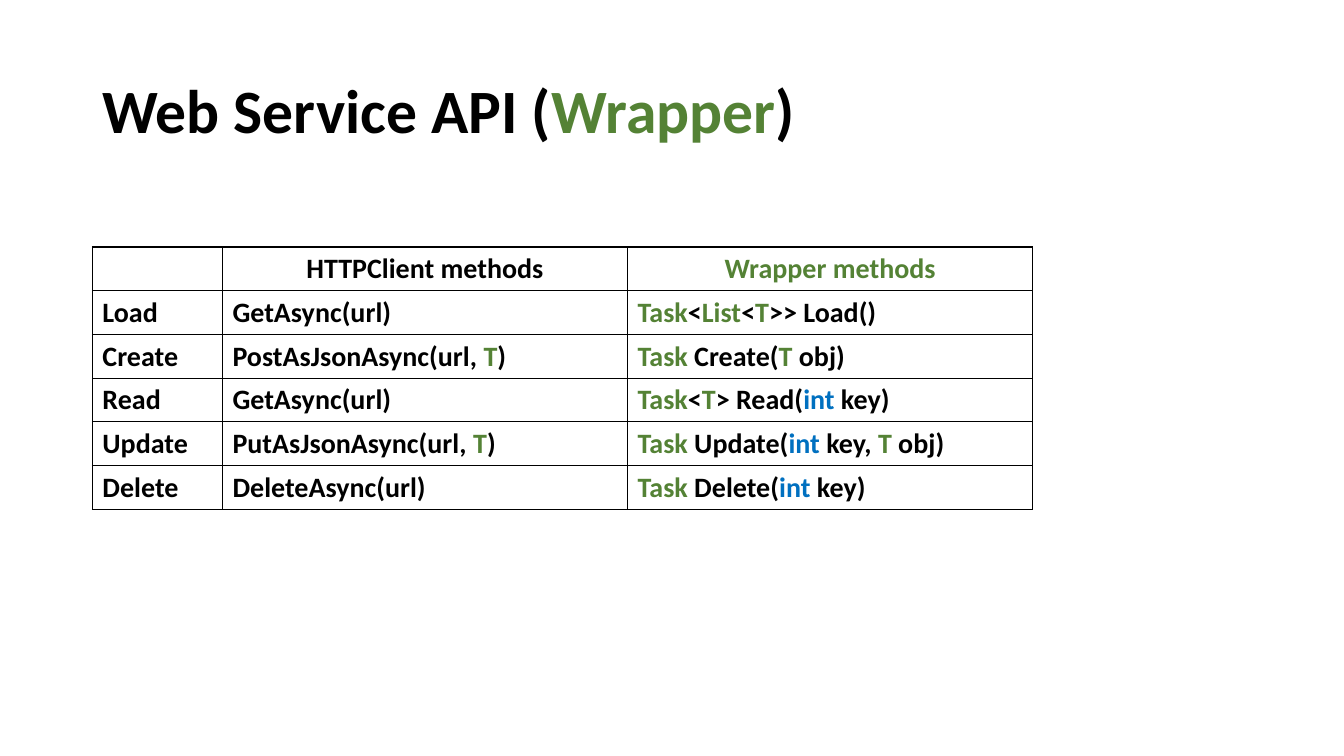
"""Build the Web Service API wrapper slide."""
from lxml import etree
from pptx import Presentation
from pptx.dml.color import RGBColor
from pptx.enum.text import MSO_ANCHOR, PP_ALIGN
from pptx.oxml.ns import qn
from pptx.util import Pt

LEFT, CENTER = PP_ALIGN.LEFT, PP_ALIGN.CENTER
MIDDLE = MSO_ANCHOR.MIDDLE

COLORS = {"text": "000000", "type": "548235", "keyword": "0070C0", "paper": "FFFFFF"}
FONT = "Calibri"

TASK, LIST, T = ("Task", "type"), ("List", "type"), ("T", "type")
INT = ("int", "keyword")
TITLE = ["Web Service API (", ("Wrapper", "type"), ")"]
METHODS = [
    [[], ["HTTPClient methods"], [("Wrapper methods", "type")]],
    [["Load"], ["GetAsync(url)"], [TASK, "<", LIST, "<", T, ">> Load()"]],
    [["Create"], ["PostAsJsonAsync(url, ", T, ")"], [TASK, " Create(", T, " obj)"]],
    [["Read"], ["GetAsync(url)"], [TASK, "<", T, "> Read(", INT, " key)"]],
    [["Update"], ["PutAsJsonAsync(url, ", T, ")"],
     [TASK, " Update(", INT, " key, ", T, " obj)"]],
    [["Delete"], ["DeleteAsync(url)"], [TASK, " Delete(", INT, " key)"]],
]

MARGIN = 66
TITLE_BOX = (MARGIN, 28.8, 828, 104.4)
TABLE_TOP = 176.4
COLUMN_WIDTHS = (92.9, 289.4, 289.4)
ROW_HEIGHT = 31.2
BORDER_WIDTH = 1


def write(frame, parts, size=20, align=LEFT, line_spacing=None):
    """Fill a text frame with bold runs, each plain or (text, colour name)."""
    paragraph = frame.paragraphs[0]
    paragraph.alignment = align
    if line_spacing:
        paragraph.line_spacing = line_spacing
    paragraph.font.size = Pt(size)
    for part in parts:
        text, color = (part, "text") if isinstance(part, str) else part
        run = paragraph.add_run()
        run.text = text
        run.font.name = FONT
        run.font.size = Pt(size)
        run.font.bold = True
        run.font.color.rgb = RGBColor.from_string(COLORS[color])


def style_cell(cell):
    """Give a cell a thin border on all sides and a plain fill."""
    properties = cell._tc.get_or_add_tcPr()
    for side in ("a:lnL", "a:lnR", "a:lnT", "a:lnB"):
        line = etree.SubElement(properties, qn(side), w=str(Pt(BORDER_WIDTH)))
        fill = etree.SubElement(line, qn("a:solidFill"))
        etree.SubElement(fill, qn("a:srgbClr"), val=COLORS["text"])
    cell.fill.solid()
    cell.fill.fore_color.rgb = RGBColor.from_string(COLORS["paper"])


def main():
    """Lay out the title and the methods table, then save."""
    deck = Presentation()
    deck.slide_width, deck.slide_height = Pt(960), Pt(540)
    slide = deck.slides.add_slide(deck.slide_layouts[6])

    title = slide.shapes.add_textbox(*map(Pt, TITLE_BOX)).text_frame
    title.word_wrap = True
    title.vertical_anchor = MIDDLE
    write(title, TITLE, size=44, line_spacing=0.9)

    table = slide.shapes.add_table(
        len(METHODS), len(COLUMN_WIDTHS), Pt(MARGIN), Pt(TABLE_TOP),
        Pt(sum(COLUMN_WIDTHS)), Pt(ROW_HEIGHT * len(METHODS))).table
    table.horz_banding = False
    for column, width in zip(table.columns, COLUMN_WIDTHS):
        column.width = Pt(width)
    for row_index, method in enumerate(METHODS):
        table.rows[row_index].height = Pt(ROW_HEIGHT)
        for column_index, parts in enumerate(method):
            cell = table.cell(row_index, column_index)
            style_cell(cell)
            write(cell.text_frame, parts, align=LEFT if row_index else CENTER)

    deck.save("out.pptx")


if __name__ == "__main__":
    main()
